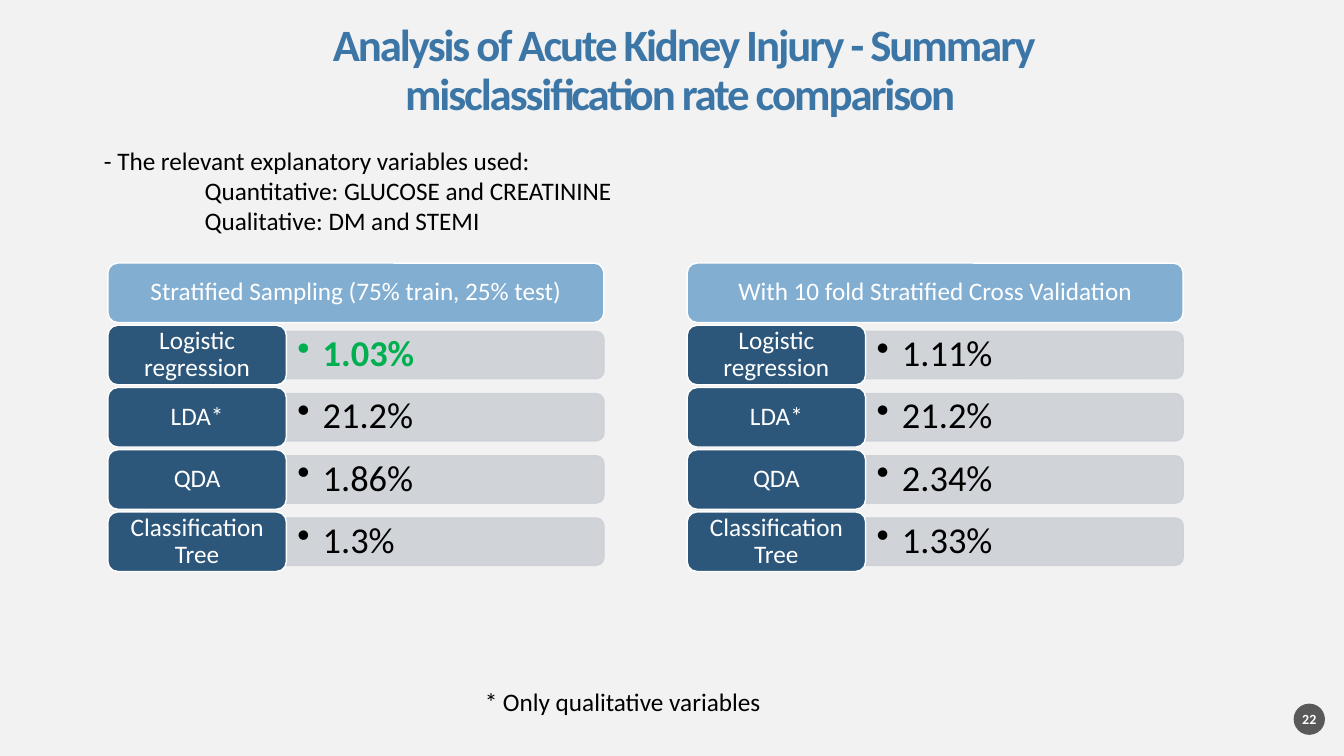
from lxml import etree
from pptx import Presentation
from pptx.dml.color import RGBColor
from pptx.enum.shapes import MSO_SHAPE
from pptx.enum.text import MSO_ANCHOR, MSO_AUTO_SIZE, PP_ALIGN
from pptx.oxml.ns import qn
from pptx.util import Inches, Pt

ROUND = MSO_SHAPE.ROUNDED_RECTANGLE
CAP = MSO_SHAPE.ROUND_2_SAME_RECTANGLE
DISC = MSO_SHAPE.OVAL
LEFT, CENTER = PP_ALIGN.LEFT, PP_ALIGN.CENTER
TOP, MIDDLE = MSO_ANCHOR.TOP, MSO_ANCHOR.MIDDLE
FIXED = MSO_AUTO_SIZE.NONE

COLORS = {
    "back": "F2F2F2", "title": "3C76A6", "head": "82AED2", "label": "2C567A",
    "bar": "CDD1D7", "best": "00B050", "badge": "595959",
    "white": "FFFFFF", "black": "000000",
}
WIDE, HIGH = 13.33, 7.5
COL, ROW = WIDE / 100, HIGH / 100  # the slide is a grid of 100 by 100

# Panels, in columns and rows
PANELS = [
    ("Stratified Sampling (75% train, 25% test)",
     ["1.03%", "21.2%", "1.86%", "1.3%"]),
    ("With 10 fold Stratified Cross Validation",
     ["1.11%", "21.2%", "2.34%", "1.33%"]),
]
MODELS = ["Logistic regression", "LDA*", "QDA", "Classification Tree"]
BEST = "1.03%"
X0, DX, Y0, DY = 8.03, 43.1, 34.8, 8.23
HEAD_W, LABEL_W, BAR_W = 36.9, 13.28, 23.63
CELL_H, BAR_H = 7.87, 6.27


def rgb(name):
    return RGBColor.from_string(COLORS[name])


def write(frame, text, size=18, color="black", bold=False, align=LEFT,
          anchor=TOP, pad=(0.1, 0.05), lead=1.0, track=0, margins=(),
          hang=0, bullet=None):
    """Fill a frame, one paragraph a line; margins are inches per paragraph."""
    frame.word_wrap = True
    frame.auto_size = FIXED
    frame.vertical_anchor = anchor
    frame.margin_left = frame.margin_right = Inches(pad[0])
    frame.margin_top = frame.margin_bottom = Inches(pad[1])
    frame.text = text
    for i, para in enumerate(frame.paragraphs):
        props = para._p.get_or_add_pPr()
        props.set("marL", str(Inches(margins[i] if margins else 0)))
        props.set("indent", str(Inches(-hang)))
        if bullet:
            etree.SubElement(props, qn("a:buChar")).set("char", bullet)
        else:
            etree.SubElement(props, qn("a:buNone"))
        para.alignment = align
        para.line_spacing = lead
        para.space_before = para.space_after = Pt(0)
        for run in para.runs:
            font = run.font
            font.name, font.size, font.bold = "Calibri", Pt(size), bold
            font.color.rgb = rgb(color)
            if track:
                run._r.get_or_add_rPr().set("spc", str(int(track * 100)))


class Board:
    """Holds the deck and the slide, and draws on a 100 by 100 grid."""

    def __init__(self):
        self.deck = Presentation()
        self.deck.slide_width = Inches(WIDE)
        self.deck.slide_height = Inches(HIGH)
        self.slide = self.deck.slides.add_slide(self.deck.slide_layouts[1])
        fill = self.slide.background.fill
        fill.solid()
        fill.fore_color.rgb = rgb("back")

    def grid(self, x, y, w, h):
        return [Inches(n) for n in (x * COL, y * ROW, w * COL, h * ROW)]

    def holder(self, index, area, text, **style):
        shape = self.slide.placeholders[index]
        shape.left, shape.top, shape.width, shape.height = self.grid(*area)
        write(shape.text_frame, text, **style)

    def shape(self, kind, area, fill, line=None):
        shape = self.slide.shapes.add_shape(kind, *self.grid(*area))
        shape.shadow.inherit = False
        shape.fill.solid()
        shape.fill.fore_color.rgb = rgb(fill)
        if line:
            shape.line.color.rgb = rgb(line)
            shape.line.width = Pt(1)
        else:
            shape.line.fill.background()
        return shape

    def block(self, area, text, fill):
        shape = self.shape(ROUND, area, fill, "white")
        write(shape.text_frame, text, color="white", align=CENTER,
              anchor=MIDDLE, pad=(0.1, 0.07), lead=0.9)

    def bar(self, x, y, w, h):
        """A bar rounded at its right end: a turned cap about its centre."""
        shape = self.shape(CAP, (x, y, w, h), "bar", "bar")
        left, top, wide, high = self.grid(x, y, w, h)
        shape.left = left + (wide - high) // 2
        shape.top = top + (high - wide) // 2
        shape.width, shape.height = high, wide
        shape.rotation = 90
        for tone in shape._element.spPr.iter(qn("a:srgbClr")):
            etree.SubElement(tone, qn("a:alpha")).set("val", "90000")

    def text(self, area, text, **style):
        box = self.slide.shapes.add_textbox(*self.grid(*area))
        write(box.text_frame, text, **style)

    def panel(self, x, head, rates):
        self.block((x, Y0, HEAD_W, CELL_H), head, "head")
        for i, (model, rate) in enumerate(zip(MODELS, rates), 1):
            y = Y0 + i * DY
            area = (x + LABEL_W, y + (CELL_H - BAR_H) / 2, BAR_W, BAR_H)
            best = rate == BEST
            self.bar(*area)
            self.text(area, rate, size=26, bold=best, anchor=MIDDLE,
                      color="best" if best else "black", pad=(0.11, 0.05),
                      lead=0.9, margins=[0.25], hang=0.25, bullet="•")
            self.block((x, y, LABEL_W, CELL_H), model, "label")


def main():
    board = Board()

    # Title and list of variables
    board.holder(0, (4.43, 3.2, 92.95, 12.53),
                 "Analysis of Acute Kidney Injury - Summary\v"
                 "misclassification rate comparison ",
                 size=32, color="title", bold=True, align=CENTER,
                 anchor=MIDDLE, pad=(0, 0), lead=0.9, track=-1.5)
    board.holder(1, (6.98, 18.53, 86.12, 13.47),
                 "- The relevant explanatory variables used:\n"
                 "Quantitative: GLUCOSE and CREATININE\n"
                 "Qualitative: DM and STEMI", margins=[0, 1, 1])

    # Error rates of both sampling schemes
    for i, (head, rates) in enumerate(PANELS):
        board.panel(X0 + i * DX, head, rates)

    # Footnote and page number
    board.text((35.33, 90.13, 30.98, 5.33), "* Only qualitative variables")
    badge = board.shape(DISC, (96.25, 93.07, 2.33, 4.13), "badge")
    write(badge.text_frame, "22", size=10, color="white", bold=True,
          align=CENTER, anchor=MIDDLE, pad=(0, 0))

    board.deck.save("out.pptx")


if __name__ == "__main__":
    main()
